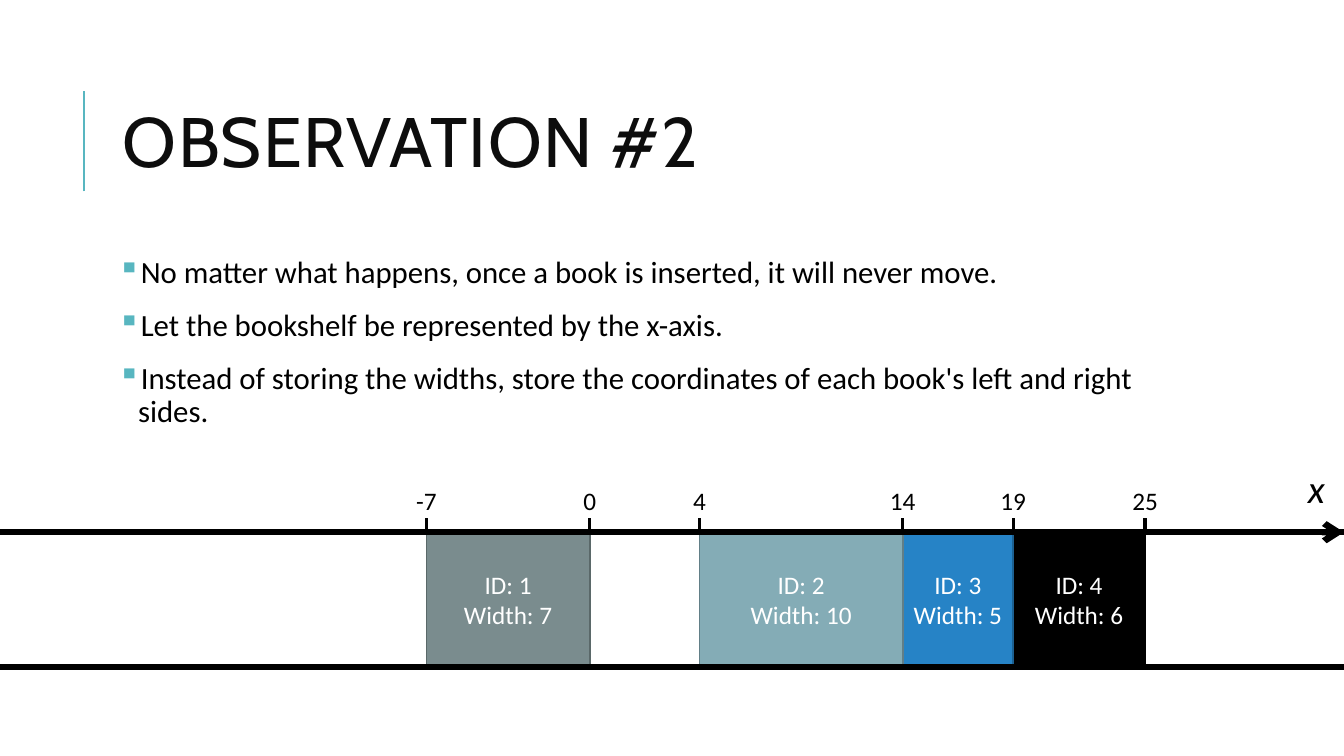
"""Build the bookshelf slide that places each book on the x-axis."""
import pptx
import pptx.util
import pptx.dml.color
import pptx.enum.shapes
import pptx.enum.text
import pptx.oxml.ns
from lxml import etree

Pt = pptx.util.Pt
RGBColor = pptx.dml.color.RGBColor
Align = pptx.enum.text.PP_ALIGN
Anchor = pptx.enum.text.MSO_ANCHOR
qn = pptx.oxml.ns.qn

WIDE = pptx.util.Inches(13.333)
HIGH = pptx.util.Inches(7.5)
BLACK = RGBColor(0x00, 0x00, 0x00)
WHITE = RGBColor(0xFF, 0xFF, 0xFF)
INK = RGBColor(0x0D, 0x0D, 0x0D)
TEAL = RGBColor(0x58, 0xB6, 0xC0)
GRAY = RGBColor(0x7A, 0x8C, 0x8E)
SLATE = RGBColor(0x5A, 0x68, 0x69)
MIST = RGBColor(0x84, 0xAC, 0xB6)
STEEL = RGBColor(0x62, 0x7F, 0x87)
BLUE = RGBColor(0x26, 0x83, 0xC6)
NAVY = RGBColor(0x1C, 0x61, 0x92)

TICK, TOP, BASE = 68.53, 70.4, 88.27
EDGES = {-7: 31.73, 0: 43.88, 4: 52.05, 14: 67.17, 19: 75.38, 25: 85.2}
BOOKS = [
    (4, 19, 25, BLACK, BLACK),
    (3, 14, 19, BLUE, NAVY),
    (2, 4, 14, MIST, STEEL),
    (1, -7, 0, GRAY, SLATE),
]
POINTS = [
    "No matter what happens, once a book is inserted, it will never move.",
    "Let the bookshelf be represented by the x-axis.",
    "Instead of storing the widths, store the coordinates of each book's "
    "left and right sides.",
]


def area(left, top, width, height):
    """Turn percent shares of the slide into lengths."""
    return (int(WIDE * left / 100), int(HIGH * top / 100),
            int(WIDE * width / 100), int(HIGH * height / 100))


def write(para, text, size, color, font="Calibri"):
    """Add one formatted run to a paragraph."""
    run = para.add_run()
    run.text = text
    run.font.size = Pt(size)
    run.font.name = font
    run.font.color.rgb = color
    return run


def add_line(slide, start, end, color, weight, arrow=False):
    """Draw a straight line between two points given in percent."""
    line = slide.shapes.add_connector(
        pptx.enum.shapes.MSO_CONNECTOR.STRAIGHT, *area(*start, *end))
    line.line.color.rgb = color
    line.line.width = Pt(weight)
    if arrow:
        etree.SubElement(line.line._get_or_add_ln(), qn("a:tailEnd"), type="arrow")
    etree.SubElement(line._element.spPr, qn("a:effectLst"))


def add_title(slide, text):
    """Place and format the title with its accent line."""
    add_line(slide, (6.25, 25.33), (6.25, 12), TEAL, 1.5)
    title = slide.shapes.title
    title.left, title.top, title.width, title.height = area(8.4, 8.53, 79.7, 21.87)
    frame = title.text_frame
    frame.auto_size = pptx.enum.text.MSO_AUTO_SIZE.NONE
    frame.vertical_anchor = Anchor.MIDDLE
    para = frame.paragraphs[0]
    para.alignment = Align.LEFT
    para.line_spacing = 0.8
    run = write(para, text, 50, INK, "Cabin")
    run.font._element.set("spc", "100")


def add_list(slide, items):
    """Write the bulleted points."""
    frame = slide.shapes.add_textbox(*area(8.4, 33.33, 80.3, 58.67)).text_frame
    frame.word_wrap = True
    frame.margin_left = frame.margin_right = Pt(3.6)
    for num, item in enumerate(items):
        para = frame.add_paragraph() if num else frame.paragraphs[0]
        para.line_spacing = 0.9
        para.space_before, para.space_after = Pt(12), Pt(2)
        props = para._p.get_or_add_pPr()
        props.set("marL", str(Pt(14.4)))
        props.set("indent", str(-Pt(14.4)))
        tint = etree.SubElement(props, qn("a:buClr"))
        etree.SubElement(tint, qn("a:srgbClr"), val=str(TEAL))
        etree.SubElement(props, qn("a:buChar"), char="▪")
        write(para, item, 22, BLACK)


def add_book(slide, num, left, right, fill, edge):
    """Draw one book between its two coordinates."""
    start, end = EDGES[left], EDGES[right]
    book = slide.shapes.add_shape(
        pptx.enum.shapes.MSO_SHAPE.RECTANGLE,
        *area(start, TOP, end - start, BASE - TOP))
    book.shadow.inherit = False
    book.fill.solid()
    book.fill.fore_color.rgb = fill
    book.line.color.rgb = edge
    book.line.width = Pt(1.25)
    frame = book.text_frame
    frame.vertical_anchor = Anchor.MIDDLE
    lines = [frame.paragraphs[0], frame.add_paragraph()]
    for para, text in zip(lines, (f"ID: {num}", f"Width: {right - left}")):
        para.alignment = Align.CENTER
        write(para, text, 18, WHITE)


def add_label(slide, box, text, size):
    """Write a short centred label on the axis."""
    frame = slide.shapes.add_textbox(*area(*box)).text_frame
    frame.word_wrap = False
    para = frame.paragraphs[0]
    para.alignment = Align.CENTER
    return write(para, text, size, BLACK)


def add_axis(slide):
    """Draw the shelf, the x-axis and its ticks."""
    for level, arrow in ((TOP, False), (BASE, False), (TOP, True)):
        add_line(slide, (0, level), (100, level), BLACK, 4.5, arrow)
    add_label(slide, (96.45, 60.8, 3, 7.6), "x", 28).font.italic = True
    for value, place in EDGES.items():
        add_line(slide, (place, TICK), (place, TOP), BLACK, 2.25)
        add_label(slide, (place - 1.8, 63.6, 3.6, 5.33), str(value), 18)


def main():
    """Build and save the slide."""
    deck = pptx.Presentation()
    deck.slide_width, deck.slide_height = WIDE, HIGH
    slide = deck.slides.add_slide(deck.slide_layouts[5])
    add_title(slide, "OBSERVATION #2")
    add_list(slide, POINTS)
    for book in BOOKS:
        add_book(slide, *book)
    add_axis(slide)
    deck.save("out.pptx")


if __name__ == "__main__":
    main()
